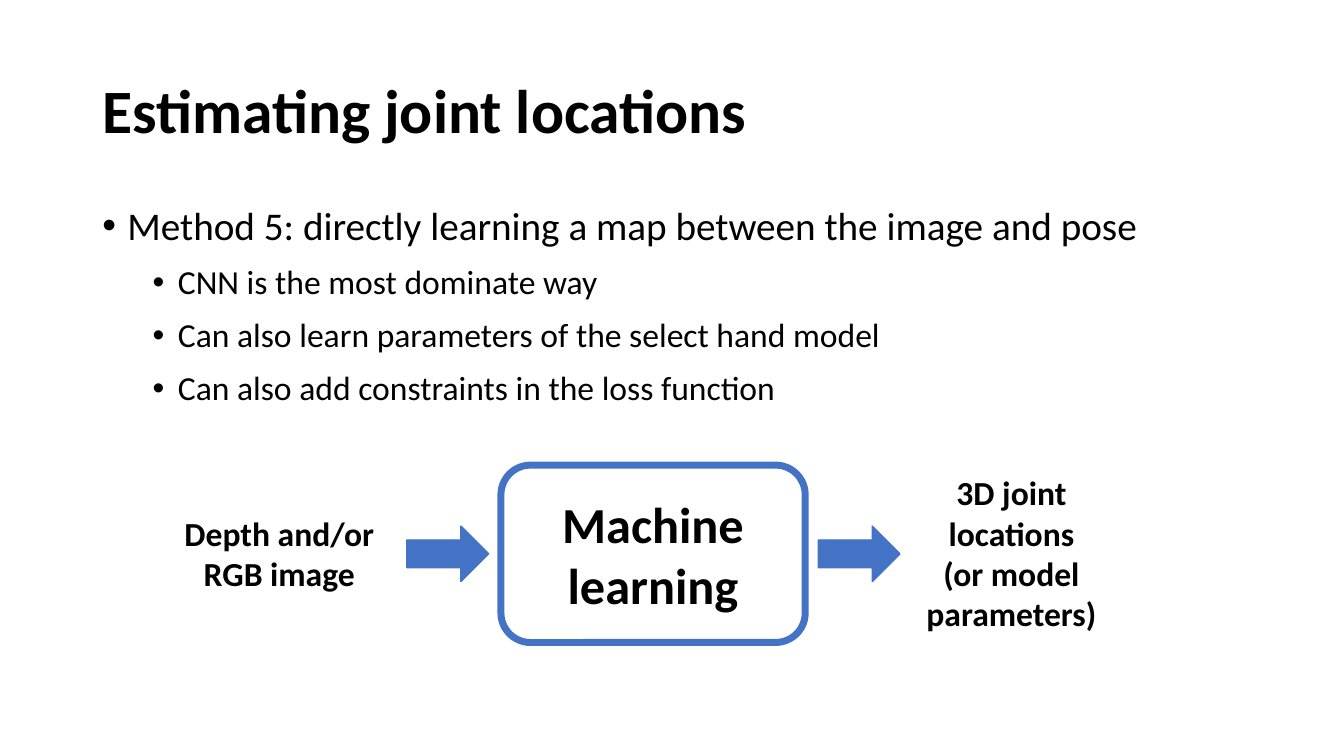
"""Build the slide on estimating joint locations by machine learning."""
from lxml import etree
from pptx import Presentation
from pptx import util as u
from pptx.dml.color import RGBColor
from pptx.enum import shapes, text
from pptx.oxml.ns import qn

HEADING = "Estimating joint locations"
METHOD = [
    (0, "Method 5: directly learning a map between the image and pose"),
    (1, "CNN is the most dominate way"),
    (1, "Can also learn parameters of the select hand model"),
    (1, "Can also add constraints in the loss function"),
]
FLOW = [
    ("label", 113, 173, 65.5, ["Depth and/or RGB image"]),
    ("arrow", 290.7, 58.4, 39.6, []),
    ("model", 357.8, 217.4, 126.7, ["Machine learning"]),
    ("arrow", 584.5, 58.4, 39.6, []),
    ("label", 651.6, 141.8, 123.8, ["3D joint locations", "(or model parameters)"]),
]
FLOW_MIDDLE = 395.6
LEFT, WIDTH = 66, 828
THEME = {
    "font": "Calibri",
    "ink": RGBColor(0, 0, 0),
    "accent": RGBColor(0x44, 0x72, 0xC4),
    "heading": 44,
    "bullets": (28, 24),
    "label": 24,
    "model": 36,
}
KINDS = {
    "arrow": (shapes.MSO_SHAPE.RIGHT_ARROW, 1),
    "model": (shapes.MSO_SHAPE.ROUNDED_RECTANGLE, 5),
}


def apply(target, formats):
    for name, value in formats.items():
        setattr(target, name, value)


def write(frame, lines, size, bold=True, anchor=text.MSO_ANCHOR.TOP, **layout):
    apply(frame, {"word_wrap": True, "vertical_anchor": anchor})
    for index, line in enumerate(lines):
        paragraph = frame.add_paragraph() if index else frame.paragraphs[0]
        apply(paragraph, layout)
        run = paragraph.add_run()
        run.text = line
        apply(run.font, {"name": THEME["font"], "size": u.Pt(size), "bold": bold})
        run.font.color.rgb = THEME["ink"]


def add_bullet(paragraph, level):
    properties = paragraph._p.get_or_add_pPr()
    apply(paragraph, {"level": level, "line_spacing": 0.9, "space_before": u.Pt(12)})
    properties.set("marL", str(u.Pt(18 + 36 * level)))
    properties.set("indent", str(u.Pt(-18)))
    etree.SubElement(properties, qn("a:buFont")).set("typeface", "Arial")
    etree.SubElement(properties, qn("a:buChar")).set("char", "•")


def add_step(slide, kind, left, width, height, lines):
    bounds = [u.Pt(v) for v in (left, FLOW_MIDDLE - height / 2, width, height)]
    if kind == "label":
        step = slide.shapes.add_textbox(*bounds)
    else:
        preset, weight = KINDS[kind]
        step = slide.shapes.add_shape(preset, *bounds)
        step.shadow.inherit = False
        step.line.color.rgb = THEME["accent"]
        step.line.width = u.Pt(weight)
        if kind == "arrow":
            step.fill.solid()
            step.fill.fore_color.rgb = THEME["accent"]
        else:
            step.fill.background()
    if lines:
        anchor = text.MSO_ANCHOR.TOP if kind == "label" else text.MSO_ANCHOR.MIDDLE
        write(step.text_frame, lines, THEME[kind], anchor=anchor,
              alignment=text.PP_ALIGN.CENTER)


def main():
    deck = Presentation()
    apply(deck, {"slide_width": u.Pt(960), "slide_height": u.Pt(540)})
    slide = deck.slides.add_slide(deck.slide_layouts[6])

    heading = slide.shapes.add_textbox(u.Pt(LEFT), u.Pt(28.8), u.Pt(WIDTH), u.Pt(104.4))
    write(heading.text_frame, [HEADING], THEME["heading"],
          anchor=text.MSO_ANCHOR.MIDDLE, line_spacing=0.9)

    method = slide.shapes.add_textbox(u.Pt(LEFT), u.Pt(144), u.Pt(WIDTH), u.Pt(342.7))
    write(method.text_frame, [line for _, line in METHOD], THEME["bullets"][0], bold=False)
    for paragraph, (level, _) in zip(method.text_frame.paragraphs, METHOD):
        add_bullet(paragraph, level)
        paragraph.runs[0].font.size = u.Pt(THEME["bullets"][level])

    for step in FLOW:
        add_step(slide, *step)
    deck.save("out.pptx")


if __name__ == "__main__":
    main()
